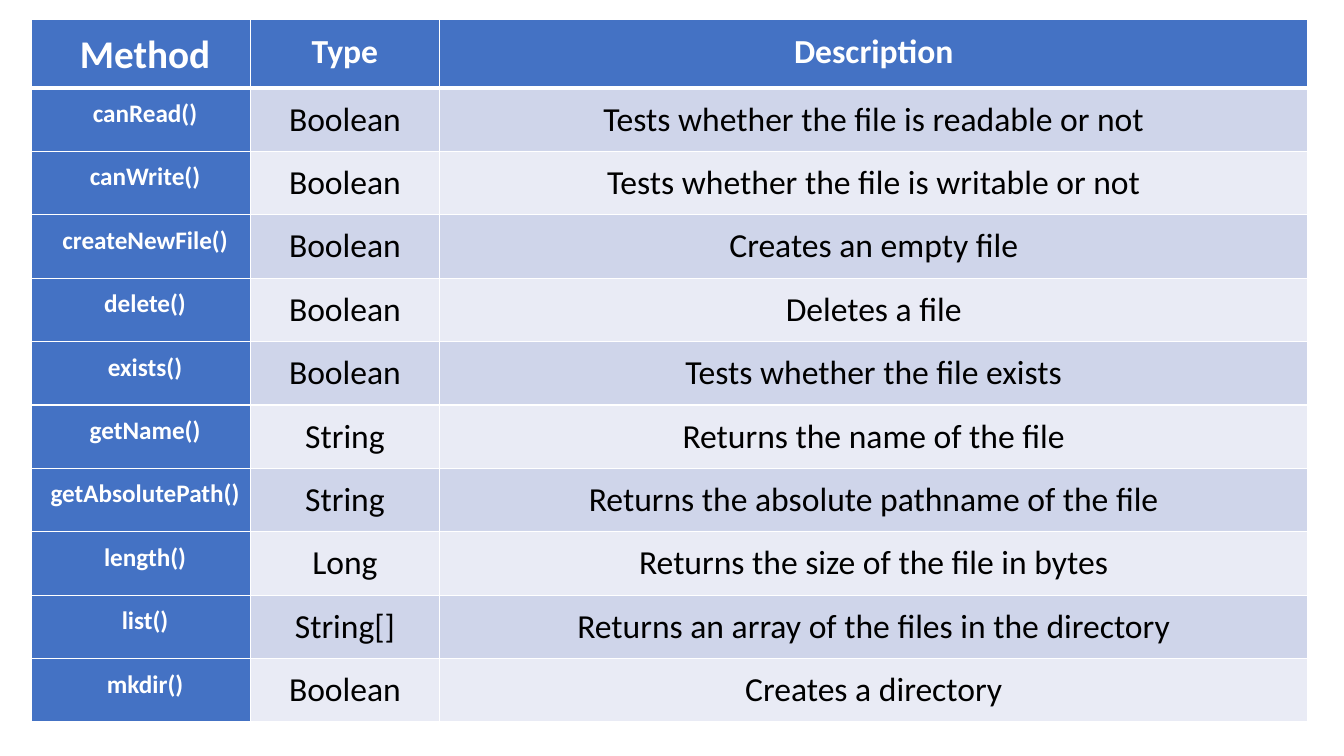
import pptx
import pptx.dml.color
import pptx.enum.text
import pptx.oxml
import pptx.oxml.ns
import pptx.util

Pt = pptx.util.Pt
RGBColor = pptx.dml.color.RGBColor

WHITE = RGBColor(0xFF, 0xFF, 0xFF)
BLACK = RGBColor(0, 0, 0)
BLUE = RGBColor(0x44, 0x72, 0xC4)
BANDS = (RGBColor(0xCF, 0xD5, 0xEA), RGBColor(0xE9, 0xEB, 0xF5))

# Table content and geometry, in points
METHODS = [
    ("Method", "Type", "Description"),
    ("canRead()", "Boolean", "Tests whether the file is readable or not"),
    ("canWrite()", "Boolean", "Tests whether the file is writable or not"),
    ("createNewFile()", "Boolean", "Creates an empty file"),
    ("delete()", "Boolean", "Deletes a file"),
    ("exists()", "Boolean", "Tests whether the file exists"),
    ("getName()", "String", "Returns the name of the file"),
    ("getAbsolutePath()", "String", "Returns the absolute pathname of the file"),
    ("length()", "Long", "Returns the size of the file in bytes"),
    ("list()", "String[]", "Returns an array of the files in the directory"),
    ("mkdir()", "Boolean", "Creates a directory"),
]
COLUMN_WIDTHS = (156.2, 135.4, 620)
ROW_HEIGHT = 45.3


def write_text(frame, text, *, font, size, color, bold=False):
    """Fill a text frame with one centred paragraph."""
    para = frame.paragraphs[0]
    para.alignment = pptx.enum.text.PP_ALIGN.CENTER
    para.line_spacing = 1.07
    para.space_before = para.space_after = Pt(15)
    span = para.add_run()
    span.text = text
    span.font.name = font
    span.font.size = Pt(size)
    span.font.bold = bold
    span.font.color.rgb = color


class MethodPage:
    """A slide with the style of its method table."""

    font = "Calibri"
    inset = 6
    first_inset = 12

    def __init__(self, deck):
        self.page = deck.slides.add_slide(deck.slide_layouts[6])

    def table(self, rows, left, top, widths, row_height):
        box = self.page.shapes.add_table(
            len(rows), len(widths), Pt(left), Pt(top),
            Pt(sum(widths)), Pt(row_height * len(rows)))
        table = box.table
        table.first_col = True
        for column, width in zip(table.columns, widths):
            column.width = Pt(width)
        for row_index, texts in enumerate(rows):
            table.rows[row_index].height = Pt(row_height)
            for column_index, text in enumerate(texts):
                self.cell(table.cell(row_index, column_index), text,
                          row_index, column_index)

    def cell(self, cell, text, row, column):
        is_header, is_name = row == 0, column == 0
        emphasis = is_header or is_name
        size = (28 if is_header else 18) if is_name else 24

        # The heavy rule lies between the header and the first method
        self.borders(cell, top=3 if row == 1 else 1,
                     bottom=3 if is_header else 1)
        cell.fill.solid()
        cell.fill.fore_color.rgb = BLUE if emphasis else BANDS[(row - 1) % 2]

        cell.margin_left = Pt(self.first_inset if is_name else self.inset)
        cell.margin_right = cell.margin_top = cell.margin_bottom = Pt(self.inset)
        cell.vertical_anchor = pptx.enum.text.MSO_ANCHOR.TOP
        write_text(cell.text_frame, text, font=self.font, size=size,
                   color=WHITE if emphasis else BLACK, bold=emphasis)

    def borders(self, cell, top, bottom):
        properties = cell._tc.get_or_add_tcPr()
        for side, width in (("L", 1), ("R", 1), ("T", top), ("B", bottom)):
            properties.append(pptx.oxml.parse_xml(
                f'<a:ln{side} {pptx.oxml.ns.nsdecls("a")} w="{Pt(width)}">'
                f'<a:solidFill><a:srgbClr val="{WHITE}"/></a:solidFill>'
                f'</a:ln{side}>'))


def main():
    deck = pptx.Presentation()
    deck.slide_width, deck.slide_height = Pt(960), Pt(540)

    # Method reference table
    page = MethodPage(deck)
    page.table(METHODS, 22.5, 14.2, COLUMN_WIDTHS, ROW_HEIGHT)

    deck.save("out.pptx")


if __name__ == "__main__":
    main()
